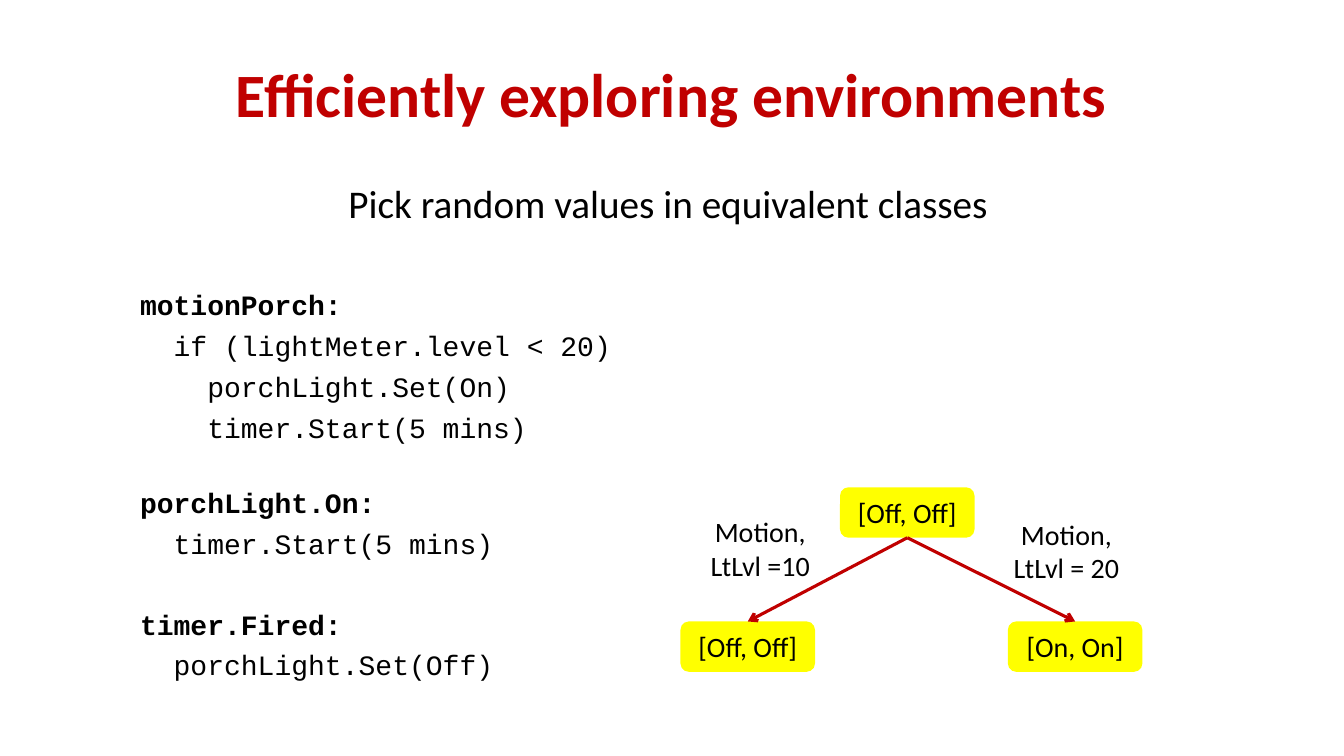
from lxml.etree import SubElement
from pptx import Presentation
from pptx.dml.color import RGBColor
from pptx.enum.shapes import MSO_CONNECTOR, MSO_SHAPE
from pptx.enum.text import MSO_ANCHOR, PP_ALIGN
from pptx.oxml.ns import qn
from pptx.util import Cm, Pt


def color(value):
    return RGBColor.from_string(value)


def write(shape, lines, size, font="Calibri", ink="000000", align=PP_ALIGN.CENTER):
    """Fill a shape with one paragraph per line and return the paragraphs."""
    frame = shape.text_frame
    frame.word_wrap = True
    frame.text = "\n".join(lines)
    for paragraph in frame.paragraphs:
        paragraph.alignment = align
        paragraph.font.name = font
        paragraph.font.size = Pt(size)
        paragraph.font.color.rgb = color(ink)
    return frame.paragraphs


presentation = Presentation()
presentation.slide_width = Cm(33.87)
presentation.slide_height = Cm(19.05)
slide = presentation.slides.add_slide(presentation.slide_layouts[6])
shapes = slide.shapes

# Title and subtitle
title = shapes.add_textbox(Cm(1.69), Cm(0.76), Cm(30.48), Cm(3.18))
title.text_frame.vertical_anchor = MSO_ANCHOR.MIDDLE
write(title, ["Efficiently exploring environments"], 44, ink="C00000")[0].font.bold = True

subtitle = shapes.add_textbox(Cm(5.72), Cm(4.4), Cm(22.23), Cm(1.75))
write(subtitle, ["Pick random values in equivalent classes"], 28)

# Event handlers: text, space before
code_lines = [
    ("motionPorch:", 0),
    ("  if (lightMeter.level < 20)", 5.2),
    ("    porchLight.Set(On)", 5.2),
    ("    timer.Start(5 mins)", 5.2),
    ("porchLight.On:", 30),
    ("  timer.Start(5 mins)", 5.2),
    ("timer.Fired:", 33.5),
    ("  porchLight.Set(Off)", 5.2),
]
code = shapes.add_textbox(Cm(3.28), Cm(7.12), Cm(12.5), Cm(10.28))
paragraphs = write(code, [text for text, space in code_lines], 20, "Courier New",
                   align=PP_ALIGN.LEFT)
for paragraph, (text, space) in zip(paragraphs, code_lines):
    paragraph.space_before = Pt(space)
    paragraph.font.bold = text.endswith(":")

# State boxes, the root first
states = []
for text, left, top in [("[Off, Off]", 21.17, 12.28),
                        ("[Off, Off]", 17.15, 15.66),
                        ("[On, On]", 25.4, 15.66)]:
    state = shapes.add_shape(MSO_SHAPE.ROUNDED_RECTANGLE, Cm(left), Cm(top), Cm(3.39), Cm(1.27))
    state.shadow.inherit = False
    state.fill.solid()
    state.fill.fore_color.rgb = color("FFFF00")
    state.line.fill.background()
    state.text_frame.vertical_anchor = MSO_ANCHOR.MIDDLE
    write(state, [text], 20)
    states.append(state)

# Arrows from the root state to its successors
root, *successors = states
for successor in successors:
    arrow = shapes.add_connector(MSO_CONNECTOR.STRAIGHT, 0, 0, 0, 0)
    arrow.begin_connect(root, 2)
    arrow.end_connect(successor, 0)
    arrow.line.color.rgb = color("C00000")
    arrow.line.width = Pt(2.25)
    SubElement(arrow.line._get_or_add_ln(), qn("a:tailEnd"), type="arrow")
    SubElement(arrow._element.spPr, qn("a:effectLst"))

# Transition labels
for text, left, top, width in [("Motion,\vLtLvl =10", 17.15, 12.85, 4.02),
                               ("Motion,\vLtLvl = 20", 24.97, 12.91, 3.81)]:
    label = shapes.add_textbox(Cm(left), Cm(top), Cm(width), Cm(1.96))
    write(label, [text], 20)

presentation.save("out.pptx")
